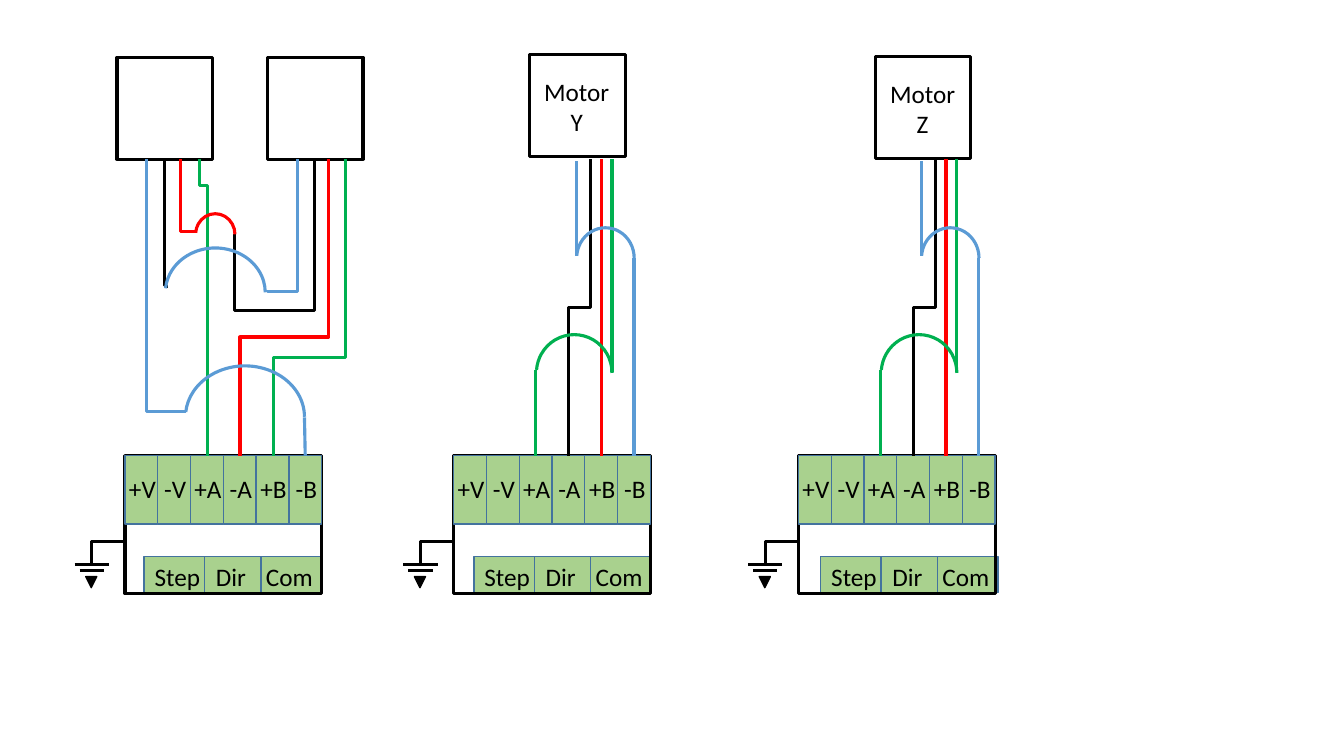
from lxml.etree import SubElement
from pptx import Presentation
from pptx.dml.color import RGBColor
from pptx.enum.shapes import MSO_CONNECTOR, MSO_SHAPE
from pptx.enum.text import PP_ALIGN
from pptx.oxml.ns import qn
from pptx.util import Inches, Pt

BLACK, RED, GREEN, BLUE = "000000", "FF0000", "00B050", "5B9BD5"
TERMINAL_FILL, TERMINAL_LINE = "A9D18E", "43739E"
PITCH = 0.325        # distance between power terminals
MOTOR_BOTTOM = 1.08  # heights below the top of an axis
BOARD_TOP = 4.02
HALF_CIRCLE = (110.78, 0)


def colour(value):
    return RGBColor.from_string(value)


def add_box(page, kind, left, top, width, height, fill=None, line=BLACK, weight=2.25):
    box = page.shapes.add_shape(
        kind, Inches(left), Inches(top), Inches(width), Inches(height))
    box.shadow.inherit = False
    if fill:
        box.fill.solid()
        box.fill.fore_color.rgb = colour(fill)
    else:
        box.fill.background()
    box.line.color.rgb = colour(line)
    box.line.width = Pt(weight)
    return box


def add_terminal(page, left, top, width, height):
    return add_box(page, MSO_SHAPE.RECTANGLE, left, top, width, height,
                   TERMINAL_FILL, TERMINAL_LINE, 1)


def add_label(page, lines, center, top, width, height=0.4):
    box = page.shapes.add_textbox(
        Inches(center - width / 2), Inches(top), Inches(width), Inches(height))
    frame = box.text_frame
    frame.word_wrap = False
    frame.text = "\n".join(lines)
    for para in frame.paragraphs:
        para.alignment = PP_ALIGN.CENTER
        font = para.runs[0].font
        for name, value in {"name": "Calibri", "size": Pt(18)}.items():
            setattr(font, name, value)
        font.color.rgb = colour(BLACK)


def add_wire(page, start, end, line, kind=MSO_CONNECTOR.STRAIGHT):
    wire = page.shapes.add_connector(kind, *(Inches(n) for n in (*start, *end)))
    wire.line.color.rgb = colour(line)
    wire.line.width = Pt(2.25)
    SubElement(wire._element.spPr, qn("a:effectLst"))
    return wire


def set_bend(wire, share):
    """Place the middle leg of an elbow at a share of its length."""
    guides = wire._element.spPr.find(qn("a:prstGeom")).get_or_add_avLst()
    SubElement(guides, qn("a:gd"), name="adj1", fmla=f"val {round(share * 100000)}")


def add_bent_wire(page, start, end, line, share):
    """Add an elbow that leaves its start downwards, as a turned connector."""
    (x1, y1), (x2, y2) = start, end
    middle_x, middle_y = (x1 + x2) / 2, (y1 + y2) / 2
    length, rise = (y2 - y1) / 2, abs(x2 - x1) / 2
    to_right = x2 > x1
    reach = -length if to_right else length
    wire = add_wire(page, (middle_x - reach, middle_y - rise),
                    (middle_x + reach, middle_y + rise), line, MSO_CONNECTOR.ELBOW)
    turn = 270 if to_right else 90
    wire._element.spPr.find(qn("a:xfrm")).set("rot", str(turn * 60000))
    set_bend(wire, share)


def add_bridge(page, left, top, width, height, line):
    arc = add_box(page, MSO_SHAPE.ARC, left, top, width, height, line=line)
    for index, angle in enumerate(HALF_CIRCLE):
        arc.adjustments[index] = angle


def add_motor(page, left, top, name=None):
    add_box(page, MSO_SHAPE.RECTANGLE, left, top, 0.95, 1.01)
    if name:
        add_label(page, ["Motor", name], left + 0.47, top + 0.17, 0.85, 0.71)


def add_ground(page, left, top):
    """Add the earth symbol beside a board whose top left corner is given."""
    lead = add_wire(page, (left, top + 0.85), (left - 0.33, top + 1.08),
                    BLACK, MSO_CONNECTOR.ELBOW)
    set_bend(lead, 1)
    for half, drop in ((0.17, 1.08), (0.12, 1.14)):
        add_wire(page, (left - 0.33 - half, top + drop),
                 (left - 0.33 + half, top + drop), BLACK)
    tip = add_box(page, MSO_SHAPE.ISOSCELES_TRIANGLE, left - 0.39, top + 1.2,
                  0.11, 0.11, BLACK, weight=1)
    tip.rotation = 180


def add_signal_strip(page, left, top):
    for offset in (0, 0.6, 1.16):
        add_terminal(page, left + offset, top, 0.6, 0.36)
    for name, center in (("Step", 0.33), ("Dir", 0.86), ("Com", 1.44)):
        add_label(page, [name], left + center, top, 0.88)


def add_board(page, left, top, strip_offset):
    """Add a driver board and return its power terminals by name."""
    add_signal_strip(page, left + strip_offset, top + 1)
    add_box(page, MSO_SHAPE.RECTANGLE, left, top, 1.95, 1.37)
    terminals = {}
    names = ("+V", "-V", "+A", "-A", "+B", "-B")
    for index, name in enumerate(names):
        terminals[name] = add_terminal(page, left + index * PITCH, top, PITCH, 0.68)
    for index, name in enumerate(names):
        add_label(page, [name], left + (index + 0.5) * PITCH + 0.01, top + 0.13,
                  0.48 if name[0] == "+" else 0.42)
    add_ground(page, left, top)
    return terminals


def add_double_axis(page, left, top):
    for offset in (-0.08, 1.41):
        add_motor(page, left + offset, top + 0.07)
    terminals = add_board(page, left, top + BOARD_TOP, 0.19)
    bent_wires = (
        (0.21, 0.6, 3.58, BLUE, 1),
        (2.19, 1.47, BOARD_TOP, GREEN, 0.67),
        (2.02, 1.14, BOARD_TOP, RED, 0.6),
        (0.74, 0.82, BOARD_TOP, GREEN, 0.09),
        (0.55, 0.7, 1.81, RED, 0.98),
        (1.88, 1.09, 1.82, BLACK, 2.03),
        (1.71, 1.41, 2.38, BLUE, 1.01),
        (0.39, 0.41, 2.36, BLACK, 0.98),
    )
    for start, end, bottom, line, share in bent_wires:
        add_bent_wire(page, (left + start, top + MOTOR_BOTTOM),
                      (left + end, top + bottom), line, share)
    bridges = ((0.6, 3.13, 1.18, 1.01, BLUE), (0.7, 1.62, 0.39, 0.41, RED),
               (0.4, 1.96, 0.99, 0.88, BLUE))
    for x, y, width, height, line in bridges:
        add_bridge(page, left + x, top + y, width, height, line)
    lead = add_wire(page, (left + 1.78, top + 3.64),
                    (left + 1.79, top + BOARD_TOP), BLUE)
    lead.end_connect(terminals["-B"], 0)


def add_single_axis(page, left, top, name, motor_offset, motor_drop, strip_offset):
    terminals = add_board(page, left, top + BOARD_TOP, strip_offset)
    add_motor(page, left + motor_offset, top + motor_drop, name)
    add_wire(page, (left + 1.57, top + MOTOR_BOTTOM), (left + 1.57, top + 3.19), GREEN)
    for terminal, index, start, line in (
            ("+B", 4, MOTOR_BOTTOM, RED), ("+A", 2, 3.17, GREEN), ("-B", 5, 2.06, BLUE)):
        x = left + (index + 0.5) * PITCH
        wire = add_wire(page, (x, top + start), (x, top + BOARD_TOP), line)
        wire.end_connect(terminals[terminal], 0)
    add_bent_wire(page, (left + 1.36, top + MOTOR_BOTTOM),
                  (left + 1.14, top + BOARD_TOP), BLACK, 0.5)
    add_bridge(page, left + 0.82, top + 2.82, 0.75, 0.76, GREEN)
    add_bridge(page, left + 1.22, top + 1.76, 0.57, 0.6, BLUE)
    add_wire(page, (left + 1.22, top + 1.1), (left + 1.22, top + 2.04), BLUE)


def main():
    deck = Presentation()
    deck.slide_width, deck.slide_height = Inches(13.33), Inches(7.5)
    page = deck.slides.add_slide(deck.slide_layouts[6])
    add_double_axis(page, 1.24, 0.5)
    add_single_axis(page, 4.5, 0.5, "Y", 0.75, 0.04, 0.2)
    add_single_axis(page, 7.92, 0.5, "Z", 0.76, 0.06, 0.22)
    deck.save("out.pptx")


if __name__ == "__main__":
    main()
